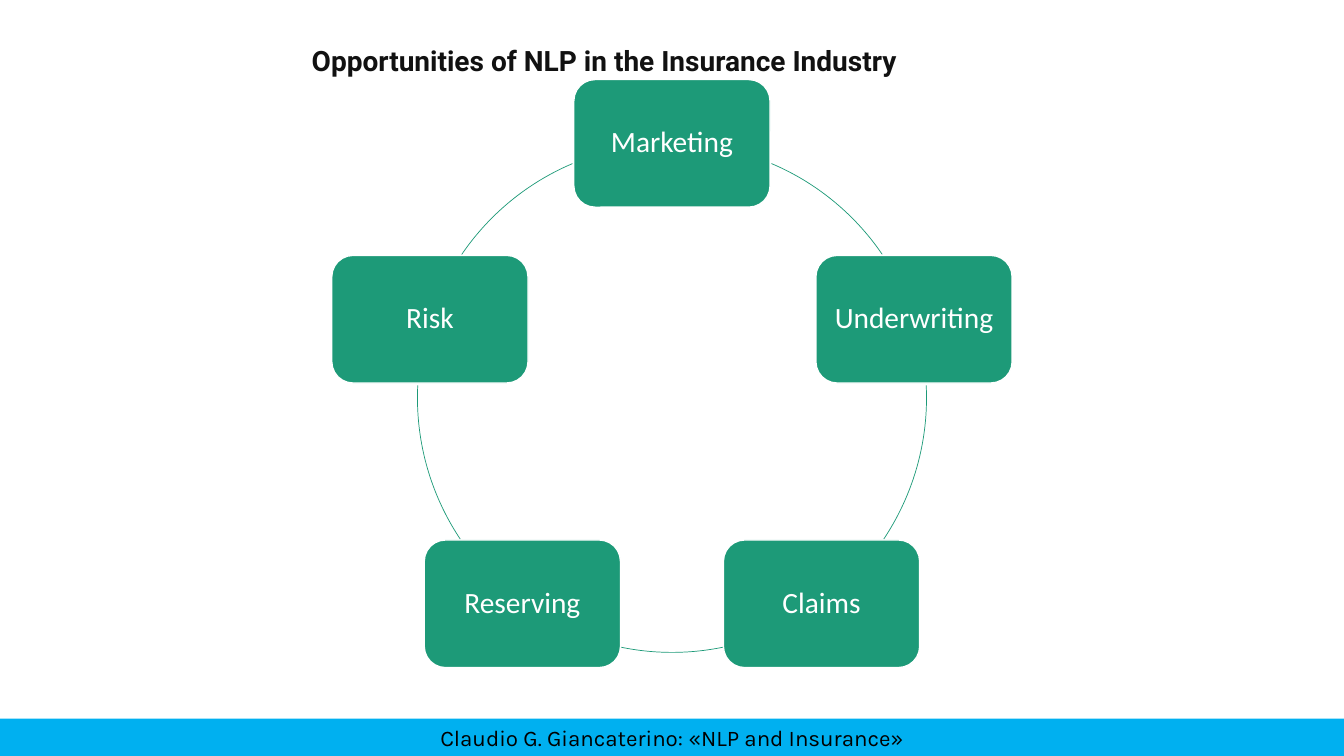
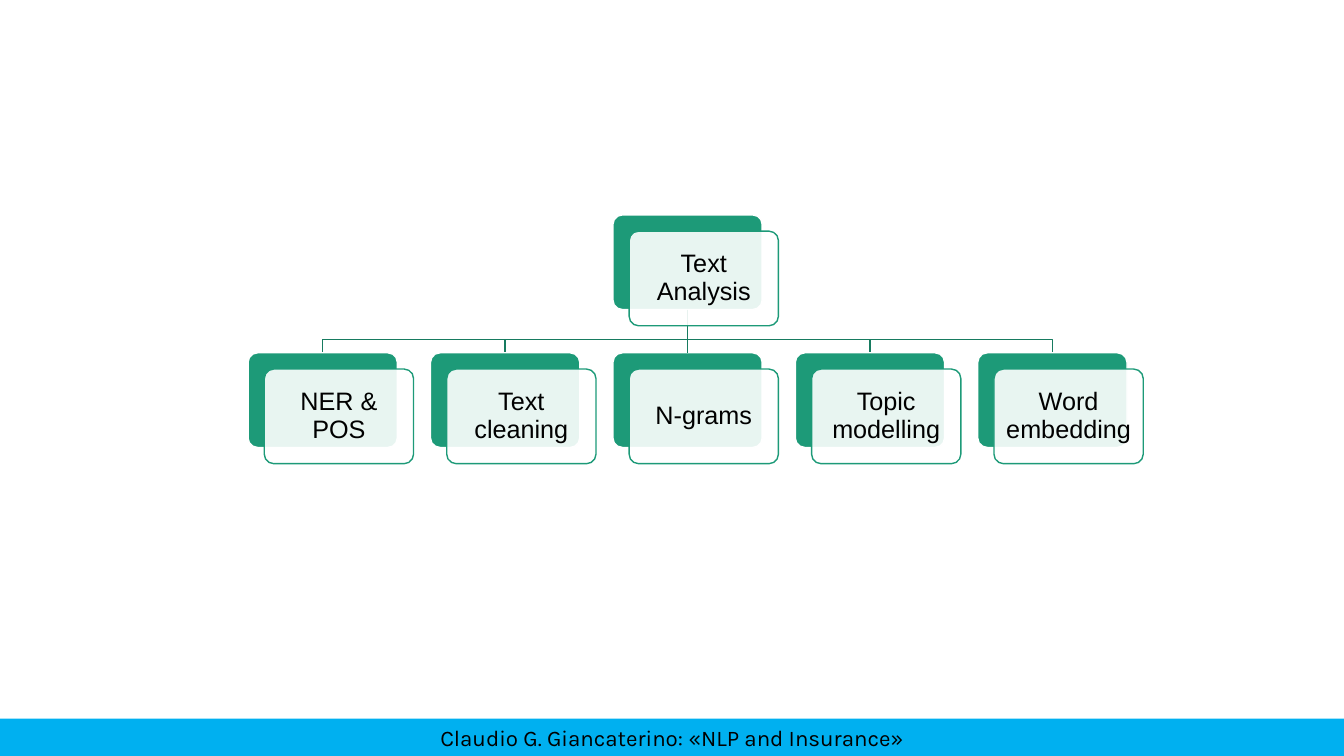
from math import cos, pi, sin

from lxml.etree import SubElement
from pptx import Presentation
from pptx.dml.color import RGBColor
from pptx.enum.shapes import MSO_CONNECTOR, MSO_SHAPE
from pptx.enum.text import MSO_ANCHOR, MSO_AUTO_SIZE, PP_ALIGN
from pptx.oxml.ns import qn
from pptx.util import Pt

GREEN = RGBColor(0x1D, 0x9A, 0x78)
DARK_GREEN = RGBColor(0x17, 0x7B, 0x60)
BLUE = RGBColor(0x00, 0xB0, 0xF0)
INK = RGBColor(0x11, 0x11, 0x11)
BLACK = RGBColor(0x00, 0x00, 0x00)
WHITE = RGBColor(0xFF, 0xFF, 0xFF)

SLIDE_W, SLIDE_H, BAND_H = 960, 540, 26.6
TITLE_ONLY, BLANK = 5, 6

TITLE_FONT = {"name": "Roboto", "size": Pt(20), "bold": True}
BAND_FONT = {"name": "Karla", "size": Pt(16)}
RING_FONT = {"name": "Calibri", "size": Pt(21)}
TREE_FONT = {"name": "Arial", "size": Pt(18)}

RING_X, RING_Y, RING_R = 480, 284.2, 181.8
RING_BOX_W, RING_BOX_H, RING_MARGIN = 140.2, 91.2, 5
RING_STEPS = ["Marketing", "Underwriting", "Claims", "Reserving", "Risk"]
RING_ARCS = [(293, 325.7), (357.2, 33.7), (78.5, 101.5), (146.3, 182.8), (214.3, 247)]

CARD_W, CARD_H, CARD_SHIFT, CARD_MARGIN = 106.6, 67.6, 11.6, 6
TREE_X, TREE_STEP = 177.2, 130.3
ROOT_Y, BEND_Y, CHILD_Y = 153.5, 242.6, 252
TREE_ROOT = "Text Analysis"
TREE_CHILDREN = ["NER & POS", "Text cleaning", "N-grams", "Topic modelling", "Word embedding"]


def write(sp, text, font, color, margin=None, spacing=None):
    tf = sp.text_frame
    tf.word_wrap = True
    if margin is not None:
        for side in ("left", "right", "top", "bottom"):
            setattr(tf, f"margin_{side}", Pt(margin))
    p = tf.paragraphs[0]
    p.alignment = PP_ALIGN.CENTER
    p.line_spacing = spacing
    r = p.add_run()
    r.text = text
    for key, value in font.items():
        setattr(r.font, key, value)
    r.font.color.rgb = color


def add_box(s, kind, x, y, w, h, fill=None, line=None, weight=1):
    sp = s.shapes.add_shape(kind, Pt(x), Pt(y), Pt(w), Pt(h))
    sp.shadow.inherit = False
    if fill is None:
        sp.fill.background()
    else:
        sp.fill.solid()
        sp.fill.fore_color.rgb = fill
    if line is None:
        sp.line.fill.background()
    else:
        sp.line.color.rgb = line
        sp.line.width = Pt(weight)
    return sp


def add_slide(prs, layout):
    s = prs.slides.add_slide(prs.slide_layouts[layout])
    band = add_box(s, MSO_SHAPE.RECTANGLE, 0, SLIDE_H - BAND_H, SLIDE_W, BAND_H, BLUE)
    band.text_frame.vertical_anchor = MSO_ANCHOR.TOP
    write(band, "Claudio G. Giancaterino: «NLP and Insurance»", BAND_FONT, BLACK)
    return s


def add_title(s, text):
    sp = s.shapes.title
    place = {"left": 189.4, "top": 27.4, "width": 484.6, "height": 31.7}
    for key, value in place.items():
        setattr(sp, key, Pt(value))
    sp.text_frame.auto_size = MSO_AUTO_SIZE.NONE
    sp.text_frame.vertical_anchor = MSO_ANCHOR.TOP
    write(sp, text, TITLE_FONT, INK)


def add_arc(s, start, end):
    sp = add_box(s, MSO_SHAPE.ARC, RING_X - RING_R, RING_Y - RING_R,
                 2 * RING_R, 2 * RING_R, line=GREEN, weight=0.5)
    for i, degrees in enumerate((start, end)):
        sp.adjustments[i] = degrees * 0.6


def add_ring(s):
    for i, (step, arc) in enumerate(zip(RING_STEPS, RING_ARCS)):
        angle = 2 * pi * i / len(RING_STEPS)
        x = RING_X + RING_R * sin(angle) - RING_BOX_W / 2
        y = RING_Y - RING_R * cos(angle) - RING_BOX_H / 2
        sp = add_box(s, MSO_SHAPE.ROUNDED_RECTANGLE, x, y, RING_BOX_W, RING_BOX_H, GREEN, WHITE)
        write(sp, step, RING_FONT, WHITE, RING_MARGIN, 0.9)
        add_arc(s, *arc)


def add_card(s, x, y, fill, line):
    sp = add_box(s, MSO_SHAPE.ROUNDED_RECTANGLE, x, y, CARD_W, CARD_H, fill, line)
    sp.adjustments[0] = 0.1
    return sp


def add_front_card(s, x, y, text):
    sp = add_card(s, x + CARD_SHIFT, y + CARD_SHIFT, WHITE, GREEN)
    color = sp._element.spPr.find(f"{qn('a:solidFill')}/{qn('a:srgbClr')}")
    SubElement(color, qn("a:alpha"), val="90000")
    write(sp, text, TREE_FONT, BLACK, CARD_MARGIN, 0.9)


def add_branch(s, root_x, child_x):
    start, *rest = [(Pt(x), Pt(y)) for x, y in (
        (root_x, ROOT_Y + CARD_H), (root_x, BEND_Y), (child_x, BEND_Y), (child_x, CHILD_Y))]
    builder = s.shapes.build_freeform(*start)
    builder.add_line_segments(rest, close=False)
    sp = builder.convert_to_shape()
    sp.shadow.inherit = False
    sp.fill.background()
    sp.line.color.rgb = DARK_GREEN
    sp.line.width = Pt(1)


def add_stem(s, root, child):
    c = s.shapes.add_connector(MSO_CONNECTOR.STRAIGHT, 0, 0, 0, 0)
    c.begin_connect(root, 2)
    c.end_connect(child, 0)
    c.line.color.rgb = DARK_GREEN
    c.line.width = Pt(1)
    SubElement(c._element.spPr, qn("a:effectLst"))


def add_tree(s):
    xs = [TREE_X + i * TREE_STEP for i in range(len(TREE_CHILDREN))]
    middle = len(xs) // 2
    root_x = xs[middle]
    for x in xs:
        if x != root_x:
            add_branch(s, root_x + CARD_W / 2, x + CARD_W / 2)
    root = add_card(s, root_x, ROOT_Y, GREEN, WHITE)
    children = [add_card(s, x, CHILD_Y, GREEN, WHITE) for x in xs]
    add_stem(s, root, children[middle])
    add_front_card(s, root_x, ROOT_Y, TREE_ROOT)
    for x, text in zip(xs, TREE_CHILDREN):
        add_front_card(s, x, CHILD_Y, text)


def main():
    prs = Presentation()
    prs.slide_width, prs.slide_height = Pt(SLIDE_W), Pt(SLIDE_H)
    s = add_slide(prs, TITLE_ONLY)
    add_title(s, "Opportunities of NLP in the Insurance Industry")
    add_ring(s)
    add_tree(add_slide(prs, BLANK))
    prs.save("out.pptx")


if __name__ == "__main__":
    main()
